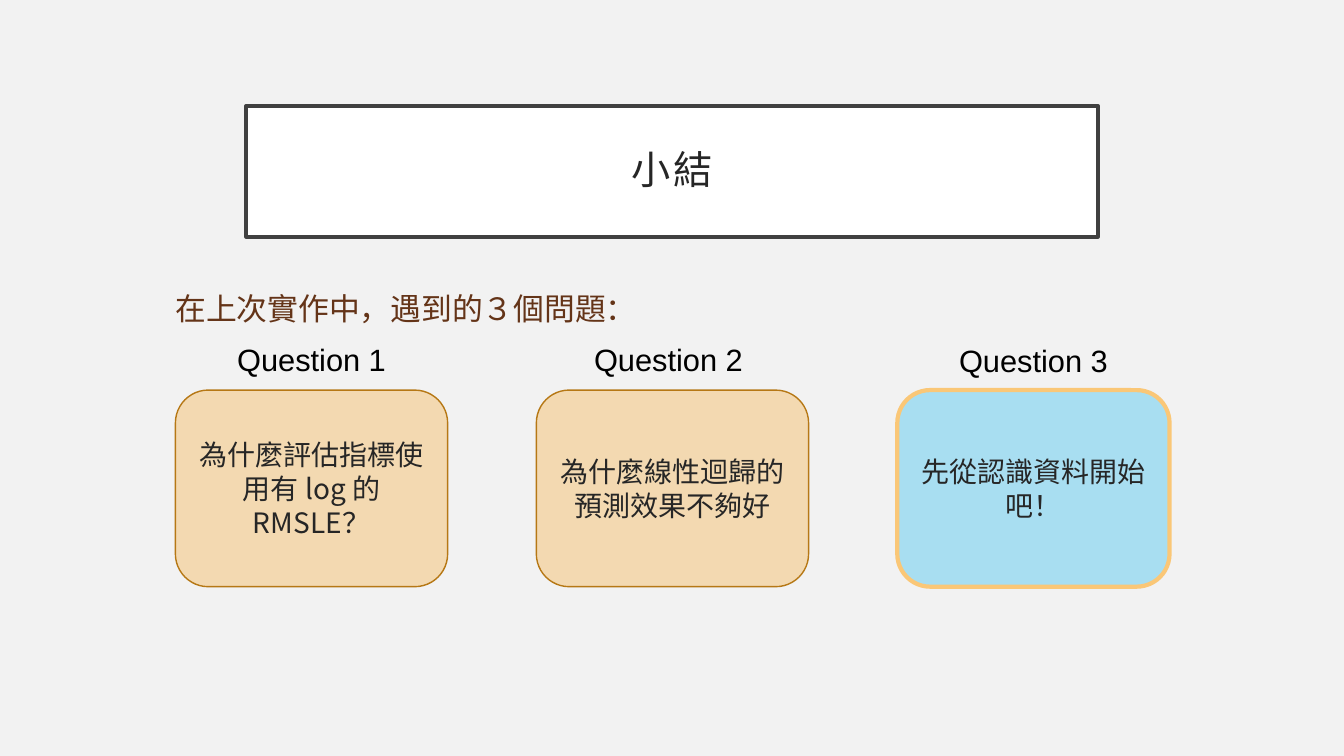
from lxml.etree import SubElement
from pptx import Presentation
from pptx.dml.color import RGBColor
from pptx.enum.shapes import MSO_SHAPE
from pptx.enum.text import MSO_ANCHOR, MSO_AUTO_SIZE as AUTO, PP_ALIGN
from pptx.oxml.ns import qn
from pptx.util import Pt

PX = 9144  # 100 px to the inch
CJK = "Noto Sans CJK TC"
DARK = "262626"

TITLE = "小結"
INTRO = "在上次實作中，遇到的３個問題："
# label, label left, label top, card text, fill, line, line width
CARDS = [
    ("Question 1", 224, 333, "為什麼評估指標使用有 log 的RMSLE？", "F6A21D", "B67815", 1),
    ("Question 2", 578, 333, "為什麼線性迴歸的預測效果不夠好", "F6A21D", "B67815", 1),
    ("Question 3", 940, 334, "先從認識資料開始吧！", "00B0F0", "FAC777", 3),
]
LEFT, TOP, WIDE, HIGH, STEP = 174, 387, 270, 195, 358


def px(*nums):
    return [n * PX for n in nums]


def color(code):
    return RGBColor.from_string(code)


def paint(shape, fill, line, width):
    shape.fill.solid()
    shape.fill.fore_color.rgb = color(fill)
    shape.line.color.rgb = color(line)
    shape.line.width = Pt(width)


def fade(shape, share):
    """Set the opacity of a solid fill, in percent."""
    tint = shape.fill._xPr.find(qn("a:solidFill"))[0]
    SubElement(tint, qn("a:alpha")).set("val", str(share * 1000))


def write(shape, text, size, face, ink, align=PP_ALIGN.CENTER, wrap=True, auto=AUTO.NONE):
    frame = shape.text_frame
    frame.text = text
    frame.word_wrap = wrap
    frame.auto_size = auto
    para = frame.paragraphs[0]
    para.alignment = align
    font = para.font
    font.size, font.name = Pt(size), face
    font.color.rgb = color(ink)
    SubElement(font._element, qn("a:ea")).set("typeface", CJK)
    return para


def main():
    deck = Presentation()
    deck.slide_width, deck.slide_height = px(1333, 750)
    slide = deck.slides.add_slide(deck.slide_layouts[5])
    slide.background.fill.solid()
    slide.background.fill.fore_color.rgb = color("F2F2F2")
    shapes = slide.shapes

    title = shapes.title
    title.left, title.top, title.width, title.height = px(244, 105, 845, 130)
    paint(title, "FFFFFF", "404040", 2.5)
    para = write(title, TITLE, 28, "Lato", DARK)
    para.line_spacing = 0.9
    para.font._element.set("spc", "200")
    frame = title.text_frame
    frame.vertical_anchor = MSO_ANCHOR.MIDDLE
    frame.margin_left = frame.margin_right = 20 * PX
    frame.margin_top = frame.margin_bottom = 20 * PX

    for i, (label, left, top, text, fill, line, width) in enumerate(CARDS):
        box = shapes.add_textbox(*px(left, top, 170, 47))
        write(box, label, 22, "Arial", "000000", wrap=False, auto=AUTO.SHAPE_TO_FIT_TEXT)
        card = shapes.add_shape(MSO_SHAPE.ROUNDED_RECTANGLE,
                                *px(LEFT + i * STEP, TOP, WIDE, HIGH))
        card.shadow.inherit = False
        paint(card, fill, line, width)
        fade(card, 30)
        write(card, text, 20, CJK, DARK)

    intro = shapes.add_textbox(*px(164, 246, 845, 73))
    para = write(intro, INTRO, 22, CJK, "643418", PP_ALIGN.LEFT, auto=AUTO.SHAPE_TO_FIT_TEXT)
    para.line_spacing = 2.0

    deck.save("out.pptx")


if __name__ == "__main__":
    main()
